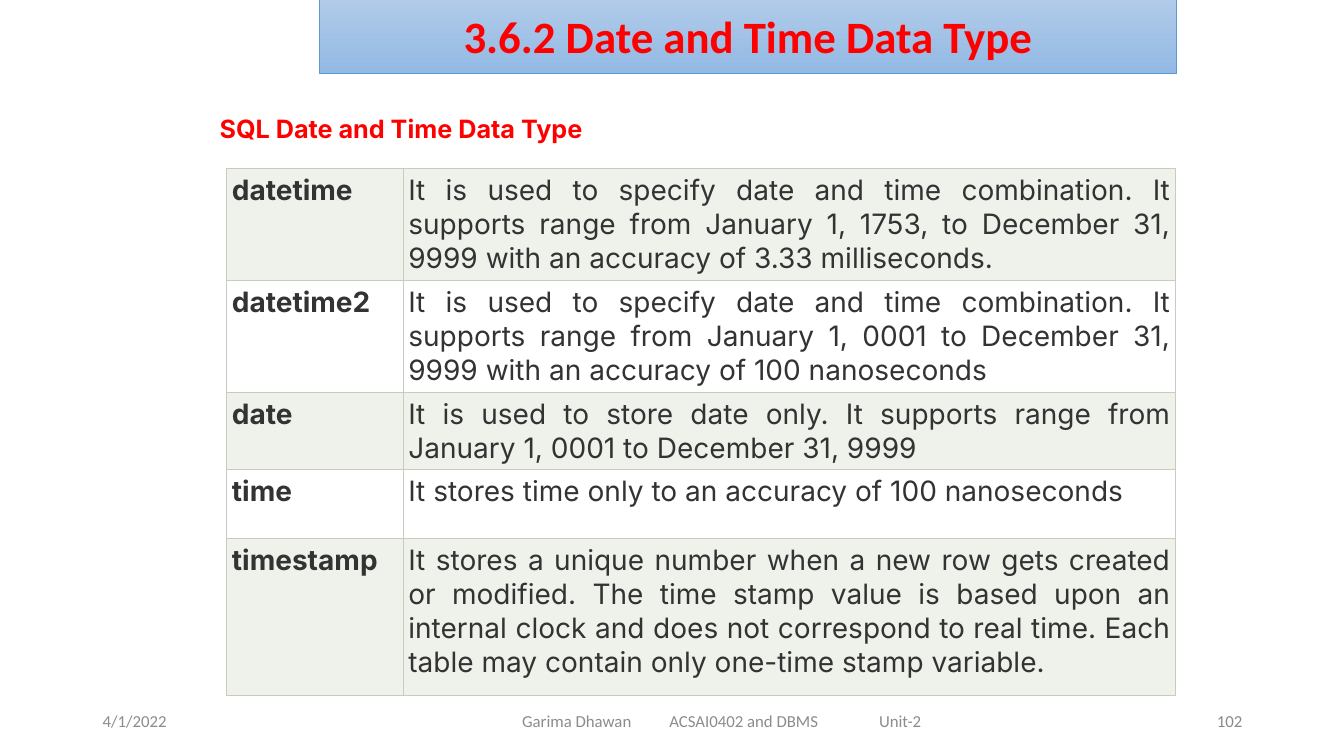
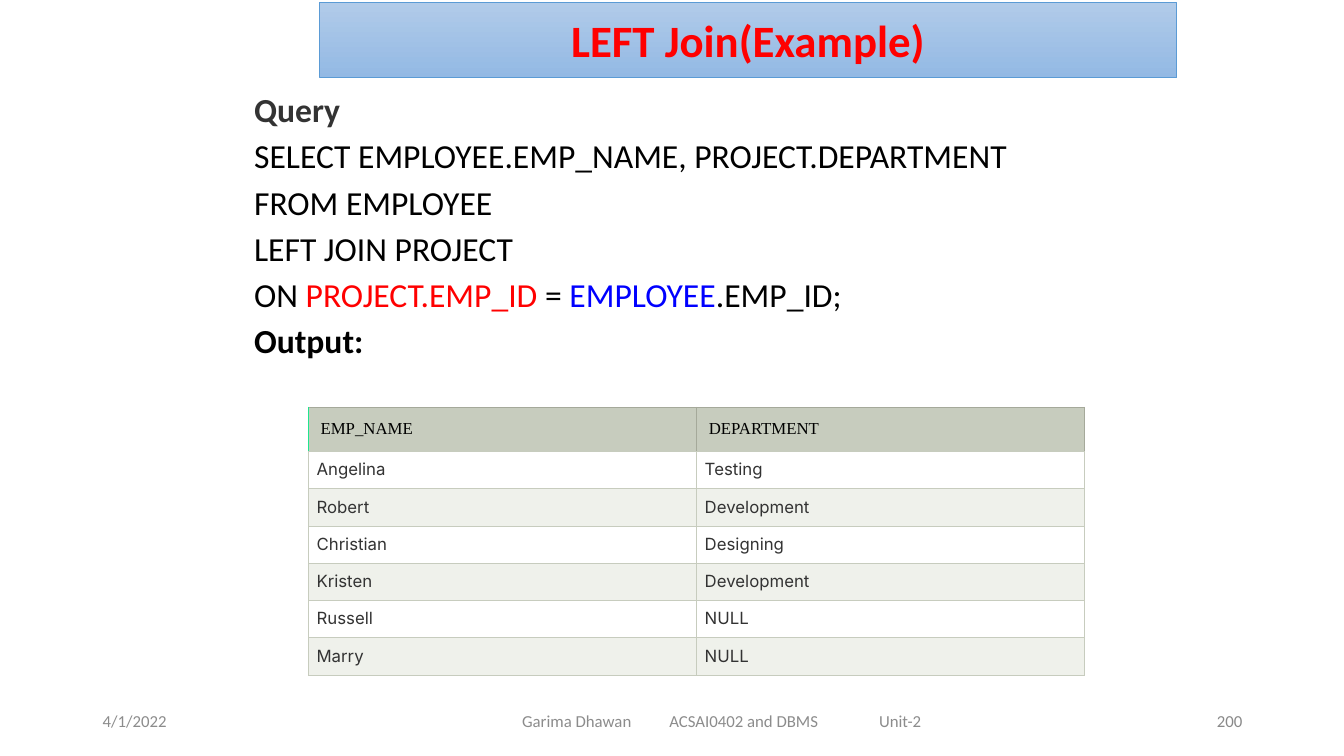
import dataclasses

import lxml.etree
import pptx
import pptx.dml.color
import pptx.enum.text
import pptx.oxml.ns
import pptx.util

Inches = pptx.util.Inches
Pt = pptx.util.Pt
ALIGN = pptx.enum.text.PP_ALIGN
ANCHOR = pptx.enum.text.MSO_ANCHOR
qn = pptx.oxml.ns.qn


@dataclasses.dataclass(frozen=True)
class Theme:
    main_font: str = "Calibri"
    table_font: str = "Inter"
    header_font: str = "Times New Roman"
    red: str = "FF0000"
    blue: str = "0000FF"
    black: str = "000000"
    dark: str = "333333"
    footer: str = "8C8C8C"
    page_number: str = "898989"
    white: str = "FFFFFF"
    stripe: str = "EFF1EB"
    grid: str = "C7CCBE"
    header_edge: str = "A5A99A"
    header_accent: str = "20E58E"
    band_top: str = "B1CBE9"
    band_bottom: str = "93B9E4"
    band_line: str = "5B9BD5"
    title_size: int = 32
    body_size: int = 24
    large_cell_size: int = 20
    heading_size: int = 18
    small_size: int = 12


def rgb(value):
    return pptx.dml.color.RGBColor.from_string(value)


class Lecture:
    TITLE_AND_BODY, TITLE_ONLY = 1, 5

    def __init__(self, theme):
        self.theme = theme
        self.deck = pptx.Presentation()
        self.deck.slide_width = Inches(13.33)
        self.deck.slide_height = Inches(7.5)
        self.page = None

    def new_page(self, layout, title, top, number):
        self.page = self.deck.slides.add_slide(self.deck.slide_layouts[layout])
        self.title(title, top)
        self.footer(number)

    def place(self, box, left, top, width, height):
        box.left, box.top = Inches(left), Inches(top)
        box.width, box.height = Inches(width), Inches(height)

    def span(self, para, text, size, color, font=None, bold=False):
        span = para.add_run()
        span.text = text
        span.font.name = font or self.theme.main_font
        span.font.size = Pt(size)
        span.font.bold = bold
        span.font.color.rgb = rgb(color)

    def title(self, text, top):
        theme = self.theme
        box = self.page.shapes.title
        self.place(box, 3.17, top, 8.5, 0.75)
        box.fill.gradient()
        box.fill.gradient_angle = 270
        for stop, color in zip(box.fill.gradient_stops, (theme.band_top, theme.band_bottom)):
            stop.color.rgb = rgb(color)
        box.line.color.rgb = rgb(theme.band_line)
        box.line.width = Pt(0.5)
        frame = box.text_frame
        frame.auto_size = pptx.enum.text.MSO_AUTO_SIZE.NONE
        frame.vertical_anchor = ANCHOR.MIDDLE
        para = frame.paragraphs[0]
        para.alignment = ALIGN.CENTER
        self.span(para, text, theme.title_size, theme.red, bold=True)

    def text(self, text, left, top, width, size, color, font=None, bold=False,
             align=ALIGN.LEFT, anchor=ANCHOR.MIDDLE, tabs=()):
        box = self.page.shapes.add_textbox(Inches(left), Inches(top), Inches(width), Inches(0.4))
        frame = box.text_frame
        frame.word_wrap = True
        frame.vertical_anchor = anchor
        para = frame.paragraphs[0]
        para.alignment = align
        if tabs:
            stops = lxml.etree.SubElement(para._p.get_or_add_pPr(), qn("a:tabLst"))
            for position in tabs:
                lxml.etree.SubElement(stops, qn("a:tab"), pos=str(Inches(position)), algn="l")
        self.span(para, text, size, color, font, bold)

    def footer(self, number):
        theme = self.theme
        size, top = theme.small_size, 6.95
        self.text("4/1/2022", 0.92, top, 3, size, theme.footer)
        self.text("Garima Dhawan\tACSAI0402 and DBMS\tUnit-2", 5.08, top, 4.3, size,
                  theme.footer, tabs=(1.46, 3.54))
        self.text(str(number), 9.42, top, 3, size, theme.page_number, align=ALIGN.RIGHT)

    def heading(self, text):
        theme = self.theme
        self.text(text, 2.08, 1.08, 6.67, theme.heading_size, theme.red,
                  theme.table_font, True, anchor=ANCHOR.TOP)

    def body(self, lines):
        box = self.page.placeholders[1]
        self.place(box, 2.42, 0.91, 9, 3)
        frame = box.text_frame
        frame.auto_size = pptx.enum.text.MSO_AUTO_SIZE.NONE
        for index, spans in enumerate(lines):
            para = frame.add_paragraph() if index else frame.paragraphs[0]
            properties = para._p.get_or_add_pPr()
            properties.set("marL", "0")
            properties.set("indent", "0")
            lxml.etree.SubElement(properties, qn("a:buNone"))
            para.alignment = ALIGN.JUSTIFY
            para.line_spacing = 0.8
            para.space_before = Pt(10 if index else 0)
            for text, color, bold in spans:
                self.span(para, text, self.theme.body_size, color, bold=bold)

    def table(self, left, top, widths, heights):
        frame = self.page.shapes.add_table(
            len(heights), len(widths), Inches(left), Inches(top),
            Inches(sum(widths)), Inches(sum(heights)))
        table = frame.table
        table.first_row = table.horz_banding = False
        for column, width in zip(table.columns, widths):
            column.width = Inches(width)
        for row, height in zip(table.rows, heights):
            row.height = Inches(height)
        return table

    def cell(self, cell, text, size, fill, inset, font=None, color=None,
             bold=False, align=ALIGN.JUSTIFY, edges=None):
        theme = self.theme
        cell.fill.solid()
        cell.fill.fore_color.rgb = rgb(fill)
        cell.margin_left = cell.margin_right = Inches(inset)
        cell.margin_top = cell.margin_bottom = Inches(inset)
        para = cell.text_frame.paragraphs[0]
        para.alignment = align
        self.span(para, text, size, color or theme.dark, font or theme.table_font, bold)
        properties = cell._tc.get_or_add_tcPr()
        for index, side in enumerate("LRTB"):
            edge = lxml.etree.Element(qn("a:ln" + side), w=str(Pt(0.75)))
            solid = lxml.etree.SubElement(edge, qn("a:solidFill"))
            lxml.etree.SubElement(solid, qn("a:srgbClr"), val=(edges or {}).get(side, theme.grid))
            properties.insert(index, edge)

    def definitions(self, rows, heights):
        theme = self.theme
        table = self.table(2.25, 1.67, (1.75, 7.66), heights)
        for index, row in enumerate(rows):
            fill = theme.white if index % 2 else theme.stripe
            for column, text in enumerate(row):
                self.cell(table.cell(index, column), text, theme.large_cell_size,
                          fill, 0.05, bold=column == 0)

    def query_result(self, header, rows):
        theme = self.theme
        table = self.table(3.06, 4.04, (3.85, 3.85), [0.44] + [0.37] * len(rows))
        for column, text in enumerate(header):
            edges = dict.fromkeys("LRT", theme.header_edge)
            if column == 0:
                edges["L"] = theme.header_accent
            self.cell(table.cell(0, column), text, theme.small_size, theme.grid, 0.12,
                      theme.header_font, theme.black, align=ALIGN.LEFT, edges=edges)
        for index, row in enumerate(rows, 1):
            fill = theme.white if index % 2 else theme.stripe
            for column, text in enumerate(row):
                self.cell(table.cell(index, column), text, theme.small_size, fill, 0.08)


def main():
    theme = Theme()
    lecture = Lecture(theme)

    lecture.new_page(Lecture.TITLE_ONLY, "3.6.2 Date and Time Data Type", -0.02, 102)
    lecture.heading("SQL Date and Time Data Type")
    lecture.definitions([
        ("datetime", "It is used to specify date and time combination. It supports range from "
                     "January 1, 1753, to December 31, 9999 with an accuracy of 3.33 milliseconds."),
        ("datetime2", "It is used to specify date and time combination. It supports range from "
                      "January 1, 0001 to December 31, 9999 with an accuracy of 100 nanoseconds"),
        ("date", "It is used to store date only. It supports range from "
                 "January 1, 0001 to December 31, 9999"),
        ("time", "It stores time only to an accuracy of 100 nanoseconds"),
        ("timestamp", "It stores a unique number when a new row gets created or modified. "
                      "The time stamp value is based upon an internal clock and does not "
                      "correspond to real time. Each table may contain only one-time stamp variable."),
    ], (1.11, 1.11, 0.77, 0.68, 1.56))

    lecture.new_page(Lecture.TITLE_AND_BODY, "LEFT Join(Example)", 0.02, 200)
    lecture.body([
        [("Query", theme.dark, True)],
        [("SELECT EMPLOYEE.EMP_NAME, PROJECT.DEPARTMENT", theme.black, False)],
        [("FROM EMPLOYEE", theme.black, False)],
        [("LEFT JOIN PROJECT", theme.black, False)],
        [("ON ", theme.black, False), ("PROJECT.EMP_ID", theme.red, False),
         (" = ", theme.black, False), ("EMPLOYEE", theme.blue, False),
         (".EMP_ID;", theme.black, False)],
        [("Output:", theme.black, True)],
    ])
    lecture.query_result(("EMP_NAME", "DEPARTMENT"), [
        ("Angelina", "Testing"),
        ("Robert", "Development"),
        ("Christian", "Designing"),
        ("Kristen", "Development"),
        ("Russell", "NULL"),
        ("Marry", "NULL"),
    ])
    lecture.deck.save("out.pptx")


if __name__ == "__main__":
    main()
